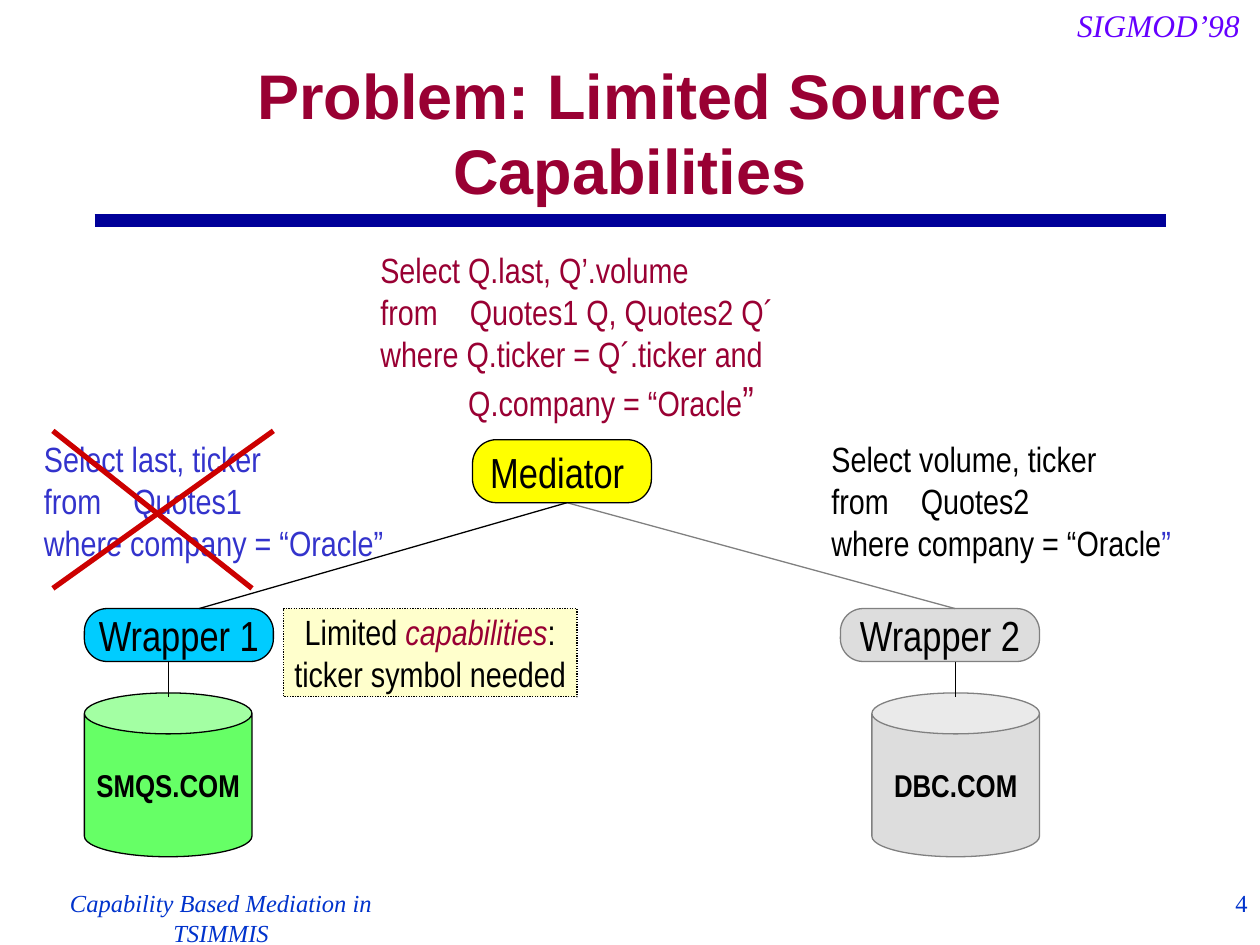
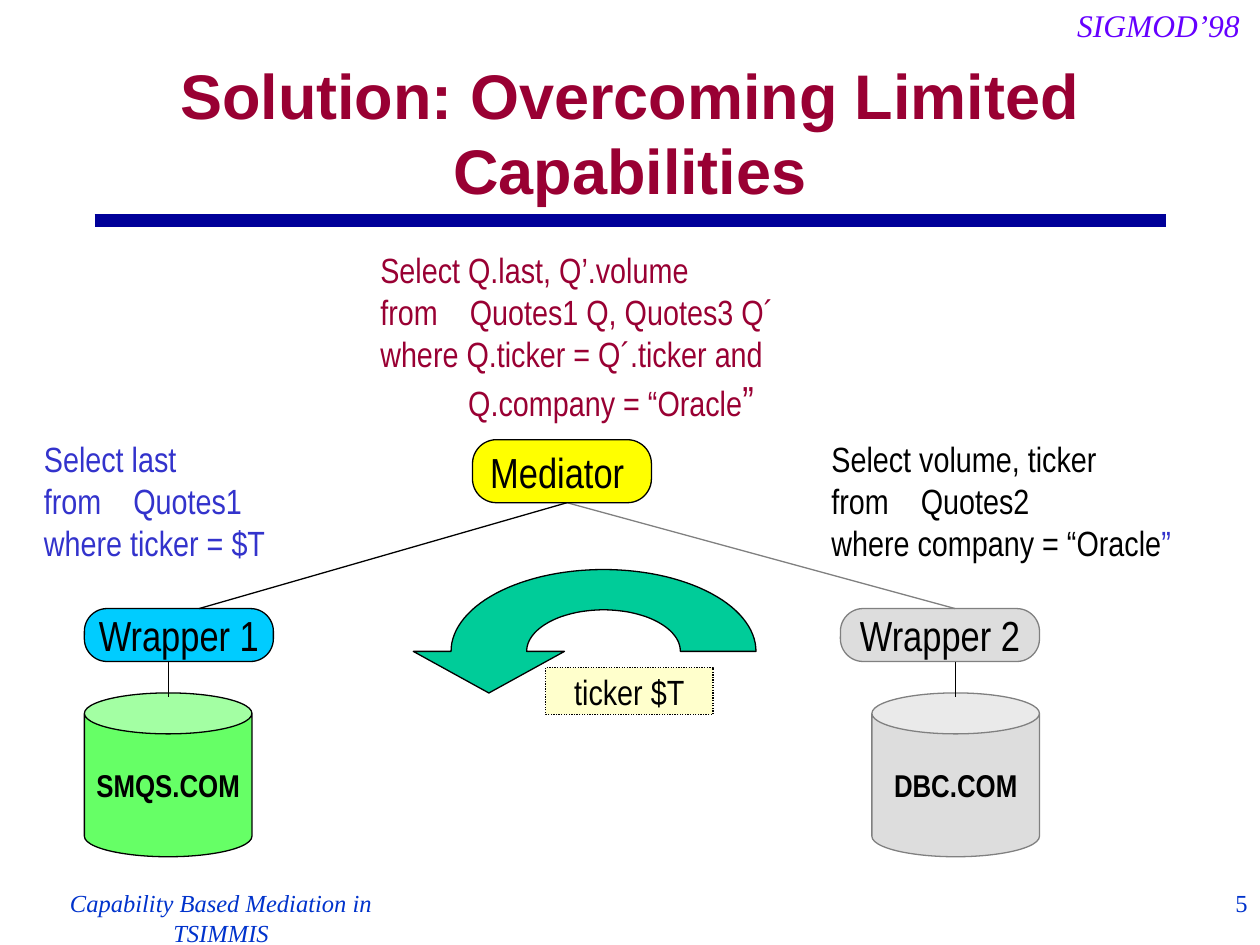
import math

from lxml import etree
from pptx import Presentation
from pptx import util as u
from pptx.dml.color import RGBColor
from pptx.enum import dml, shapes, text
from pptx.oxml.ns import qn

COLORS = {
    "rule": "000099", "venue": "6600FF", "title": "990033", "footer": "0033CC",
    "ink": "000000", "muted": "DDDDDD", "muted_line": "808080",
    "source": "66FF66", "wrapper": "00CCFF", "mediator": "FFFF00",
    "query": "3333CC", "note": "FFFFCC", "cross": "CC0000", "arrow": "00CC99",
}
SANS, NARROW, SERIF = "Arial", "Arial Narrow", "Times New Roman"
SHAPE = shapes.MSO_SHAPE
ALIGN = text.PP_ALIGN
CODE_TAB = 0.71


def rgb(name):
    """Return the palette colour called name."""
    return RGBColor.from_string(COLORS[name])


def inches(values):
    """Convert plain numbers to lengths."""
    return [u.Inches(value) for value in values]


def write(frame, lines, size=20, font=NARROW, color="ink", bold=False, italic=False,
          align=ALIGN.LEFT, anchor=text.MSO_ANCHOR.TOP, wrap=True, tab=None):
    """Fill a frame with lines, each a string or a list of (string, changes) runs."""
    frame.word_wrap = wrap
    frame.vertical_anchor = anchor
    for index, line in enumerate(lines):
        paragraph = frame.add_paragraph() if index else frame.paragraphs[0]
        paragraph.alignment = align
        if tab:
            stops = etree.SubElement(paragraph._p.get_or_add_pPr(), qn("a:tabLst"))
            etree.SubElement(stops, qn("a:tab"), pos=str(u.Inches(tab)), algn="l")
        for words, changes in [(line, {})] if isinstance(line, str) else line:
            run = paragraph.add_run()
            run.text = words
            run.font.name = font
            run.font.size = u.Pt(changes.get("size", size))
            run.font.color.rgb = rgb(changes.get("color", color))
            run.font.bold = bold
            run.font.italic = changes.get("italic", italic)


def label(slide, box, lines, **style):
    """Add a text box."""
    write(slide.shapes.add_textbox(*inches(box)).text_frame, lines, **style)


def paint(shape, fill, line="ink"):
    """Give a shape a flat fill and a thin outline."""
    shape.shadow.inherit = False
    shape.fill.solid()
    shape.fill.fore_color.rgb = rgb(fill)
    shape.line.color.rgb = rgb(line)
    shape.line.width = u.Pt(0.75)


def node(slide, kind, box, lines, fill, line="ink", corner=None, **style):
    """Add a filled shape with centred text."""
    shape = slide.shapes.add_shape(kind, *inches(box))
    paint(shape, fill, line)
    if corner is not None:
        shape.adjustments[0] = corner
    write(shape.text_frame, lines, align=ALIGN.CENTER,
          anchor=text.MSO_ANCHOR.MIDDLE, wrap=False, **style)
    return shape


def connect(slide, start, end, color="ink", width=0.75):
    """Draw a straight line between two points."""
    line = slide.shapes.add_connector(shapes.MSO_CONNECTOR.STRAIGHT, *inches((*start, *end)))
    line.line.color.rgb = rgb(color)
    line.line.width = u.Pt(width)
    etree.SubElement(line._element.spPr, qn("a:effectLst"))


def frame_slide(deck, title, number):
    """Add a slide with its title, rule, venue and footer."""
    slide = deck.slides.add_slide(deck.slide_layouts[6])
    connect(slide, (0.75, 1.75), (9.25, 1.75), "rule", 7)
    label(slide, (8.45, 0, 1.49, 0.4), ["SIGMOD’98"], size=18, font=SERIF,
          color="venue", italic=True, wrap=False)
    label(slide, (0.75, 0.42, 8.5, 1.25), [title], size=36, font=SANS, color="title",
          bold=True, align=ALIGN.CENTER, anchor=text.MSO_ANCHOR.MIDDLE)
    footer = dict(size=14, font=SERIF, color="footer")
    label(slide, (0.17, 7, 3.17, 0.5), ["Capability Based Mediation in TSIMMIS"],
          italic=True, align=ALIGN.CENTER, **footer)
    label(slide, (9.5, 7, 0.5, 0.5), [str(number)], align=ALIGN.RIGHT, **footer)
    return slide


def source_stack(slide, box, wrapper, source, fills, line="ink", can_right=False):
    """Stack a wrapper over its source inside a box, joined by a stem."""
    left, top, width, height = box
    wrapper_height, can_width, can_height = 0.42, 1.33, 1.3
    can_left = left + width - can_width if can_right else left
    can_top = top + height - can_height
    middle = can_left + can_width / 2
    node(slide, SHAPE.CAN, (can_left, can_top, can_width, can_height), [source],
         fills[1], line, corner=0.25, size=18, bold=True)
    node(slide, SHAPE.ROUNDED_RECTANGLE, (left, top, width, wrapper_height), [wrapper],
         fills[0], line, corner=0.43, size=24)
    connect(slide, (middle, top + wrapper_height), (middle, can_top + 0.03))


def mediation(slide, box, joined_table, first_query):
    """Draw the mediator, both sources and the queries sent to them."""
    left, top, width, height = box
    stack_top, stack_height = top + 2.91, height - 2.91
    source_stack(slide, (left + 0.42, stack_top, 1.5, stack_height),
                 "Wrapper 1", "SMQS.COM", ("wrapper", "source"))
    source_stack(slide, (left + 6.42, stack_top, 1.58, stack_height),
                 "Wrapper 2", "DBC.COM", ("muted", "muted"), "muted_line", can_right=True)
    hub = (left + 4.25, top + 2.07)
    connect(slide, hub, (left + 1.33, stack_top))
    connect(slide, hub, (left + 7.33, stack_top), "muted_line")
    node(slide, SHAPE.ROUNDED_RECTANGLE, (left + 3.5, top + 1.57, 1.42, 0.5),
         ["Mediator "], "mediator", corner=0.38, size=24)
    label(slide, (left + 2.67, top, 3.42, 1.5),
          ["Select Q.last, Q’.volume",
           f"from\tQuotes1 Q, {joined_table} Q´",
           "where Q.ticker = Q´.ticker and",
           [("           Q.company = “Oracle", {}), ("”", {"size": 24})]],
          color="title", tab=CODE_TAB)
    query_width = 2.92
    label(slide, (left, top + 1.5, query_width, 1.1), first_query,
          color="query", tab=CODE_TAB)
    label(slide, (left + width - query_width, top + 1.5, query_width, 1.1),
          ["Select volume, ticker", "from\tQuotes2",
           [("where company = “Oracle", {}), ("”", {"color": "query"})]], tab=CODE_TAB)


def note(slide, box, lines):
    """Add a pale note with a dotted outline."""
    shape = node(slide, SHAPE.RECTANGLE, box, lines, "note")
    shape.line.dash_style = dml.MSO_LINE.ROUND_DOT


def cross_out(slide, box):
    """Strike through a query with two diagonals."""
    left, top, width, height = box
    bottom = top + height
    connect(slide, (left + width, top), (left, bottom), "cross", 3)
    connect(slide, (left, top), (left + width - 0.17, bottom), "cross", 3)


def feedback_arrow(slide, box):
    """Draw an arched arrow that ends in a head at the lower left of a box."""
    left, top, width, height = box
    head_width, head_height, band = 1.2, 0.33, 0.6
    overhang = (head_width - band) / 2
    base = top + height - head_height
    outer = ((width - overhang) / 2, height - head_height)
    inner = (outer[0] - band, 0.33)
    center = left + overhang + outer[0]

    def arc(radii, angles):
        """List points along half an ellipse."""
        return [(center + radii[0] * math.cos(math.radians(angle)),
                 base - radii[1] * math.sin(math.radians(angle))) for angle in angles]

    head = [(left, base), (left + head_width / 2, top + height), (left + head_width, base)]
    outline = arc(inner, range(180, -1, -3)) + arc(outer, range(0, 181, 3)) + head
    points = [tuple(inches(point)) for point in outline]
    builder = slide.shapes.build_freeform(*points[0], scale=1.0)
    builder.add_line_segments(points[1:], close=True)
    paint(builder.convert_to_shape(), "arrow")


def main():
    """Build both slides and save the deck."""
    deck = Presentation()
    deck.slide_width, deck.slide_height = inches((10, 7.5))
    diagram = (0.25, 1.92, 9.17, 4.88)

    problem = frame_slide(deck, "Problem: Limited Source Capabilities", 4)
    mediation(problem, diagram, "Quotes2",
              ["Select last, ticker", "from\tQuotes1", "where company = “Oracle”"])
    note(problem, (2.25, 4.83, 2.33, 0.7),
         [[("Limited ", {}), ("capabilities", {"color": "title", "italic": True}), (":", {})],
          "ticker symbol needed"])
    cross_out(problem, (0.42, 3.42, 1.75, 1.25))

    solution = frame_slide(deck, "Solution: Overcoming Limited Capabilities", 5)
    mediation(solution, diagram, "Quotes3",
              ["Select last", "from\tQuotes1", "where ticker = $T"])
    feedback_arrow(solution, (3.28, 4.52, 2.72, 0.98))
    note(solution, (4.33, 5.3, 1.33, 0.37), ["ticker $T"])

    deck.save("out.pptx")


if __name__ == "__main__":
    main()
